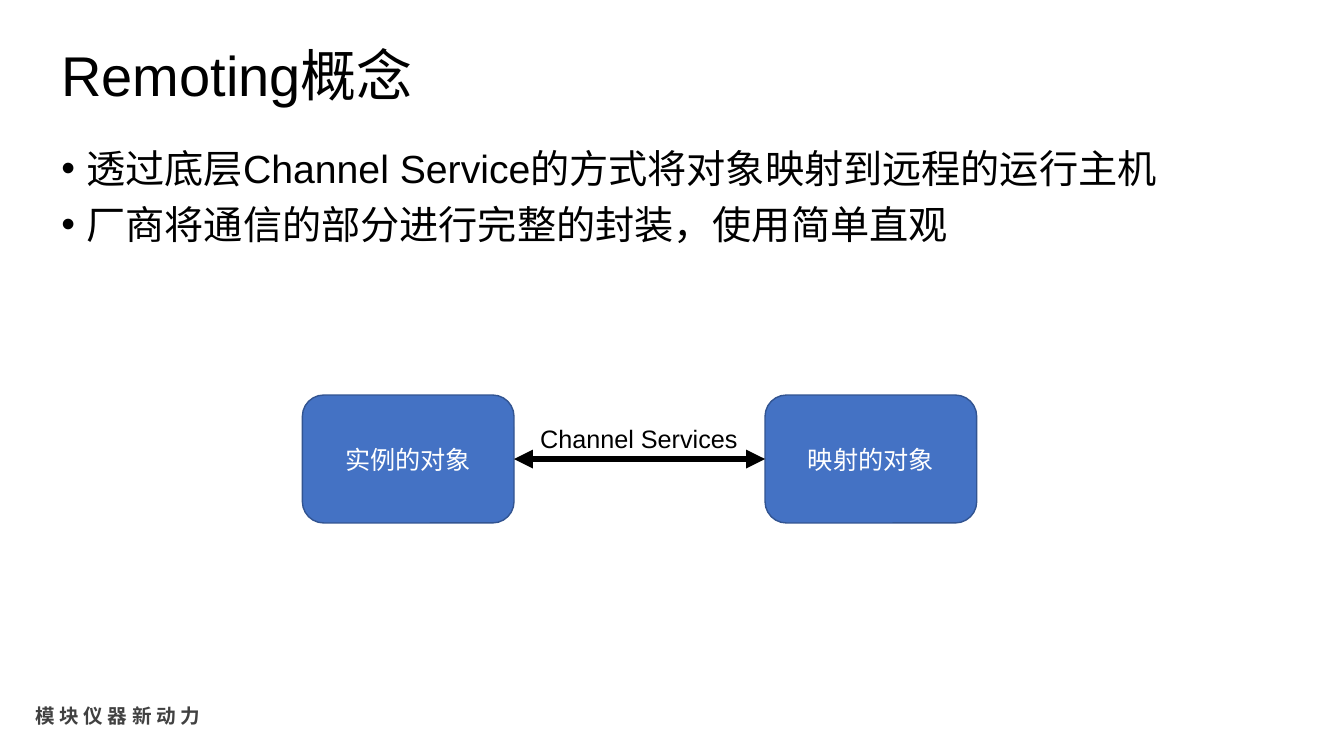
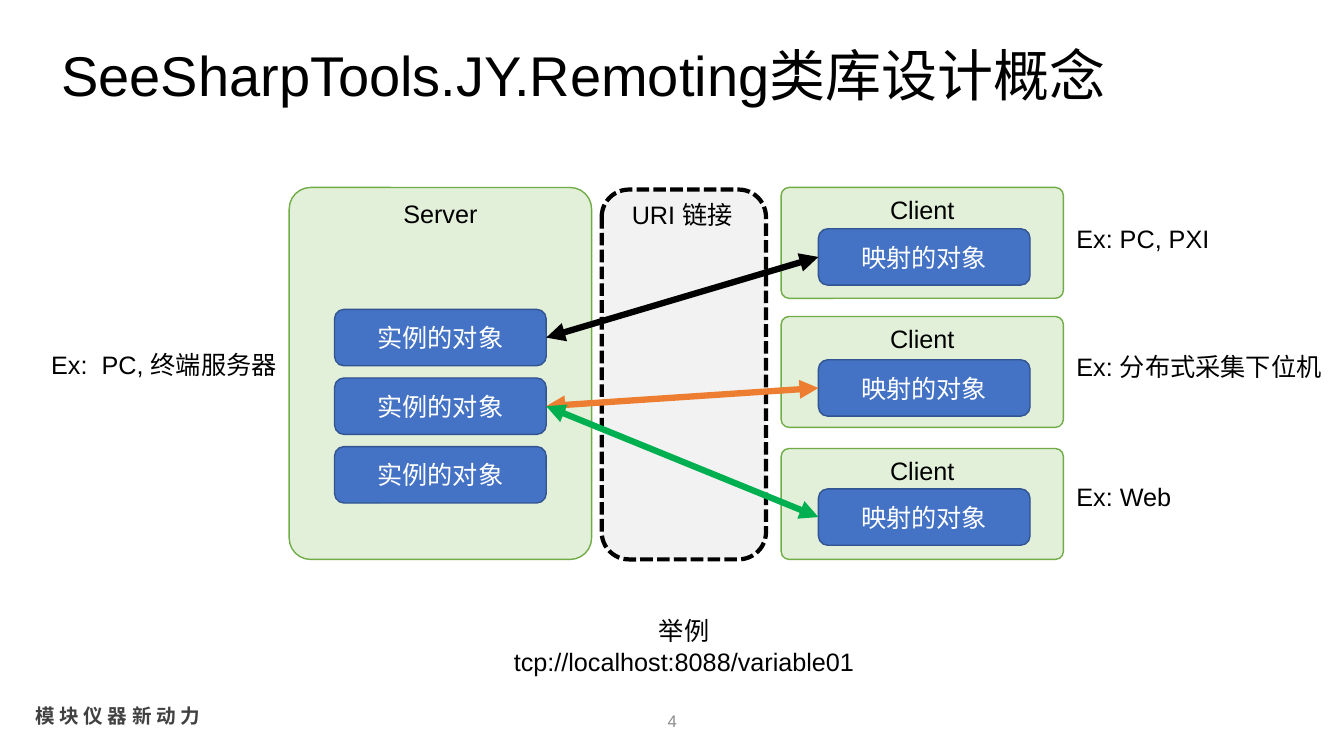
from dataclasses import dataclass
from typing import Optional

from lxml import etree
from pptx import Presentation
from pptx import util as u
from pptx.dml.color import RGBColor
from pptx.enum import dml, shapes, text
from pptx.oxml import ns

BLACK = RGBColor(0x00, 0x00, 0x00)
WHITE = RGBColor(0xFF, 0xFF, 0xFF)
BLUE = RGBColor(0x44, 0x72, 0xC4)
DARK_BLUE = RGBColor(0x32, 0x54, 0x91)
GREEN = RGBColor(0x70, 0xAD, 0x47)
PALE_GREEN = RGBColor(0xE2, 0xF0, 0xD9)
PALE_GREY = RGBColor(0xF2, 0xF2, 0xF2)
ORANGE = RGBColor(0xED, 0x7D, 0x31)
ARROW_GREEN = RGBColor(0x00, 0xB0, 0x50)
FOOTER_GREY = RGBColor(0x41, 0x41, 0x41)
NUMBER_GREY = RGBColor(0x8C, 0x8C, 0x8C)
LATIN, CJK = "Arial", "Noto Sans CJK SC"

LEFT, CENTER = text.PP_ALIGN.LEFT, text.PP_ALIGN.CENTER
TOP, MIDDLE = text.MSO_ANCHOR.TOP, text.MSO_ANCHOR.MIDDLE

INSTANCE, MAPPED = "实例的对象", "映射的对象"
OBJECT_W, OBJECT_H, LINE_H = 151.2, 40.3, 28.8


@dataclass(frozen=True)
class Box:
    """A rectangle in points."""
    left: float
    top: float
    width: float
    height: float

    def lengths(self) -> tuple:
        """Return left, top, width and height as lengths."""
        return tuple(u.Pt(v) for v in (self.left, self.top, self.width, self.height))


@dataclass(frozen=True)
class TextStyle:
    """How the text of a frame looks."""
    size: float = 18
    color: RGBColor = BLACK
    align: text.PP_ALIGN = LEFT
    anchor: text.MSO_ANCHOR = TOP
    font: str = LATIN
    bold: bool = False
    wrap: bool = True
    spacing: float = 1.0
    before: float = 0


@dataclass(frozen=True)
class PanelStyle:
    """How a rounded rectangle looks."""
    fill: RGBColor
    line: RGBColor
    words: TextStyle
    width: float = 1
    adj: Optional[float] = None
    dashed: bool = False


@dataclass(frozen=True)
class Client:
    """A client panel with its object, its example and its link to the server."""
    top: float
    object_top: float
    note_top: float
    note: str
    note_width: float
    source: int
    color: RGBColor


TITLE = TextStyle(40, anchor=MIDDLE, spacing=0.9)
BODY = TextStyle(28, spacing=0.9, before=10)
FOOTER = TextStyle(14, FOOTER_GREY, CENTER, font=CJK, bold=True, wrap=False)
NUMBER = TextStyle(12, NUMBER_GREY, CENTER, MIDDLE)
NOTE = TextStyle()
LABEL = TextStyle(wrap=False)
CENTERED = TextStyle(align=CENTER)

OBJECT = PanelStyle(BLUE, DARK_BLUE, TextStyle(color=WHITE, align=CENTER, anchor=MIDDLE))
HOST = PanelStyle(PALE_GREEN, GREEN, CENTERED, adj=0.071)
URI_BAND = PanelStyle(PALE_GREY, BLACK, CENTERED, width=3, dashed=True)

CLIENTS = [
    Client(133.9, 163.4, 156.2, "Ex: PC, PXI", 110.2, 0, BLACK),
    Client(226.1, 257, 247.7, "Ex: 分布式采集下位机", 191.5, 1, ORANGE),
    Client(320.4, 349.2, 340.6, "Ex: Web", 82.8, 1, ARROW_GREEN),
]


def write(tf, words: str, style: TextStyle) -> None:
    """Put words in a text frame, one paragraph a line, and format them."""
    tf.text = words
    tf.word_wrap = style.wrap
    tf.vertical_anchor = style.anchor
    for p in tf.paragraphs:
        p.alignment = style.align
        p.line_spacing = style.spacing
        p.space_before = u.Pt(style.before)
        for r in p.runs:
            r.font.size = u.Pt(style.size)
            r.font.name = style.font
            r.font.bold = style.bold
            r.font.color.rgb = style.color
            latin = r.font._element.find(ns.qn("a:latin"))
            ea = etree.Element(ns.qn("a:ea"), typeface=CJK)
            latin.addnext(ea)


def add_text(s, box: Box, words: str, style: TextStyle):
    """Add a text box and return its text frame."""
    tf = s.shapes.add_textbox(*box.lengths()).text_frame
    write(tf, words, style)
    return tf


def add_panel(s, box: Box, style: PanelStyle, words: str = ""):
    """Add a rounded rectangle and return it."""
    sp = s.shapes.add_shape(shapes.MSO_SHAPE.ROUNDED_RECTANGLE, *box.lengths())
    sp.shadow.inherit = False
    if style.adj is not None:
        sp.adjustments[0] = style.adj
    sp.fill.solid()
    sp.fill.fore_color.rgb = style.fill
    sp.line.color.rgb = style.line
    sp.line.width = u.Pt(style.width)
    if style.dashed:
        sp.line.dash_style = dml.MSO_LINE.SQUARE_DOT
        sp.line._ln.find(ns.qn("a:prstDash")).set("val", "sysDash")
    if words:
        write(sp.text_frame, words, style.words)
    return sp


def add_link(s, source, target, color: RGBColor) -> None:
    """Join the right side of source to the left side of target, arrows at both ends."""
    link = s.shapes.add_connector(shapes.MSO_CONNECTOR.STRAIGHT, 0, 0, 0, 0)
    link.begin_connect(source, 3)
    link.end_connect(target, 1)
    link.line.color.rgb = color
    link.line.width = u.Pt(4.5)
    for end in ("a:headEnd", "a:tailEnd"):
        etree.SubElement(link.line._ln, ns.qn(end), type="triangle")
    etree.SubElement(link._element.spPr, ns.qn("a:effectLst"))


def add_bullets(s, box: Box, lines: list[str]) -> None:
    """Add the bulleted body text."""
    for p in add_text(s, box, "\n".join(lines), BODY).paragraphs:
        pPr = p._p.get_or_add_pPr()
        pPr.set("marL", str(u.Pt(18)))
        pPr.set("indent", str(u.Pt(-18)))
        etree.SubElement(pPr, ns.qn("a:buFont"), typeface=LATIN)
        etree.SubElement(pPr, ns.qn("a:buChar"), char="•")


def new_slide(prs, title: str):
    """Add a slide with the shared footer and title."""
    s = prs.slides.add_slide(prs.slide_layouts[6])
    add_text(s, Box(15.1, 499, 138.2, 24.5), "模 块 仪 器 新 动 力", FOOTER)
    add_text(s, Box(36.7, 21.6, 886.3, 69.1), title, TITLE)
    return s


def build_concept(prs) -> None:
    """Build the slide on the remoting concept."""
    s = new_slide(prs, "Remoting概念")
    add_bullets(s, Box(36.7, 103, 886.3, 383), [
        "透过底层Channel Service的方式将对象映射到远程的运行主机",
        "厂商将通信的部分进行完整的封装，使用简单直观",
    ])
    instance, mapped = [
        add_panel(s, Box(left, 282.2, OBJECT_W, 91.4), OBJECT, words)
        for left, words in ((216, INSTANCE), (546.5, MAPPED))
    ]
    add_link(s, instance, mapped, BLACK)
    add_text(s, Box(378.7, 298.8, 157, LINE_H), "Channel Services", LABEL)


def build_design(prs) -> None:
    """Build the slide on the class library design."""
    s = new_slide(prs, "SeeSharpTools.JY.Remoting类库设计概念")
    add_text(s, Box(372.2, 500.4, 216, LINE_H), "4", NUMBER)
    add_panel(s, Box(429.8, 135.4, 117.4, 264.2), URI_BAND)
    add_panel(s, Box(206.6, 133.9, 216, 265.7), HOST, "Server")
    instances = [
        add_panel(s, Box(239, 221 + 49 * i, OBJECT_W, OBJECT_H), OBJECT, INSTANCE)
        for i in range(3)
    ]
    for c in CLIENTS:
        add_panel(s, Box(558, c.top, 201.6, 79.2), HOST, "Client")
        mapped = add_panel(s, Box(584.6, c.object_top, OBJECT_W, OBJECT_H), OBJECT, MAPPED)
        add_link(s, instances[c.source], mapped, c.color)
        add_text(s, Box(761.8, c.note_top, c.note_width, LINE_H), c.note, NOTE)
    add_text(s, Box(444.2, 139, 87.1, LINE_H), "URI 链接", NOTE)
    add_text(s, Box(29.5, 246.2, 177.1, LINE_H), "Ex:  PC, 终端服务器", NOTE)
    add_text(s, Box(358.6, 436.3, 259.9, 51.1),
             "举例\ntcp://localhost:8088/variable01", CENTERED)


def main() -> None:
    """Build and save the presentation."""
    prs = Presentation()
    prs.slide_width, prs.slide_height = u.Pt(960), u.Pt(540)
    build_concept(prs)
    build_design(prs)
    prs.save("out.pptx")


main()
